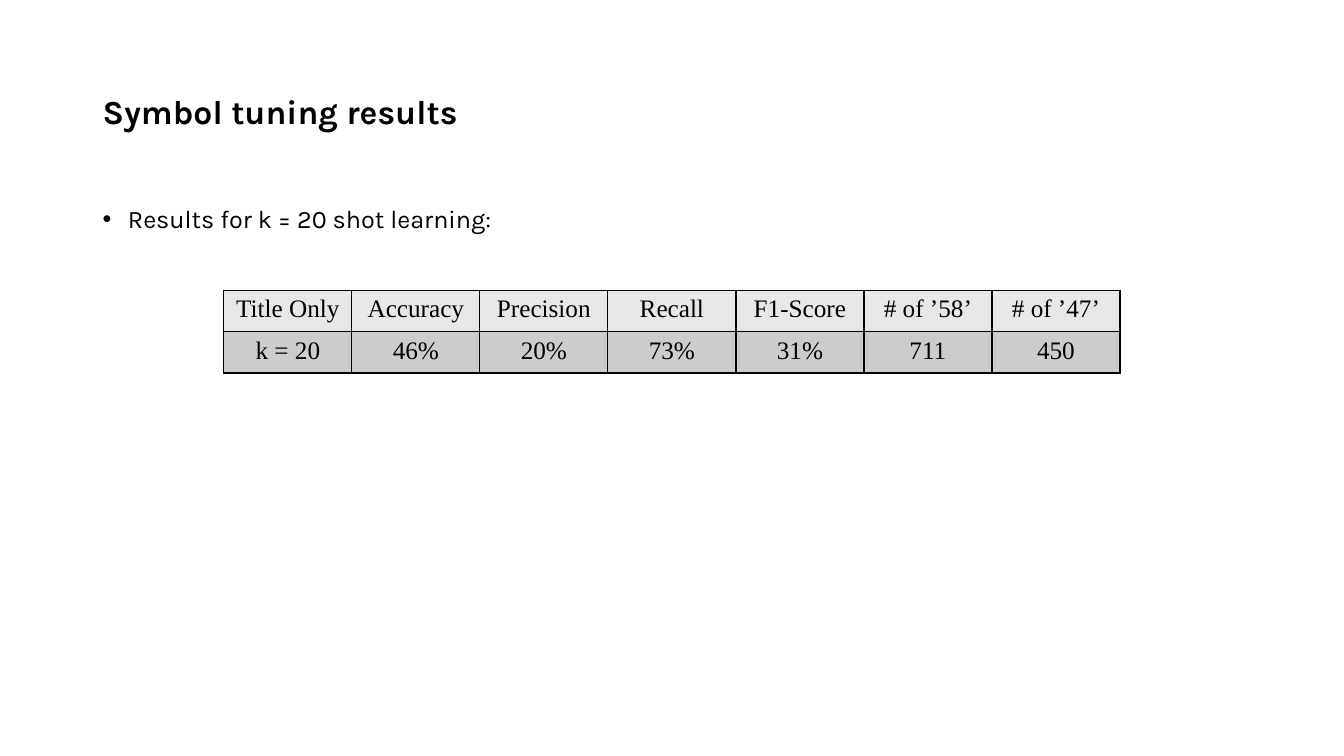
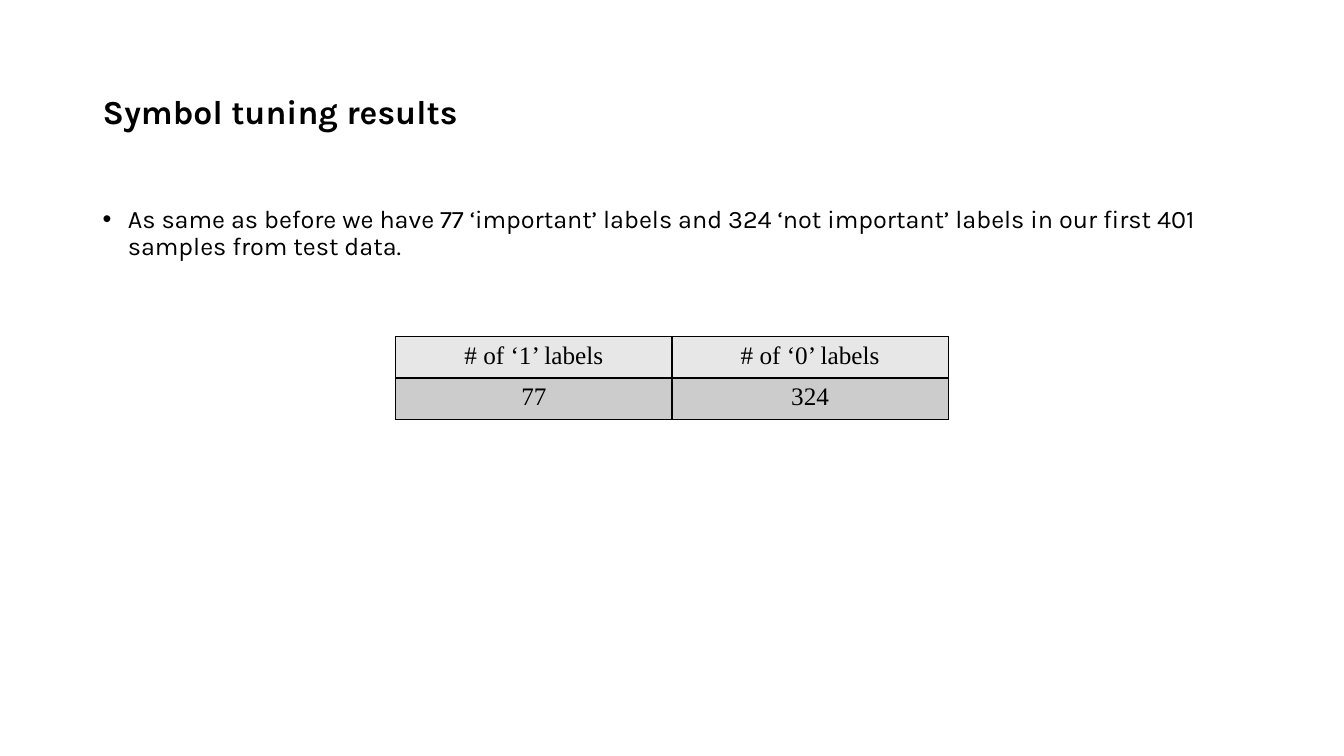
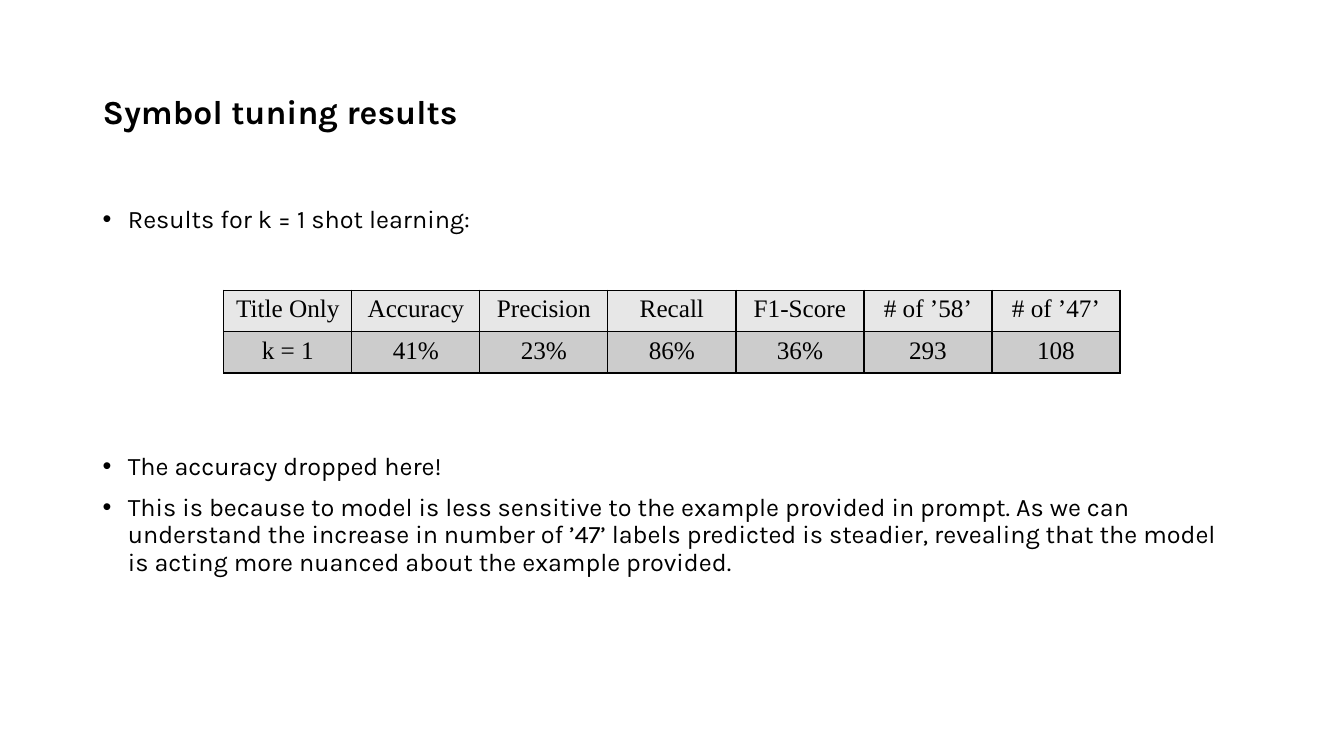
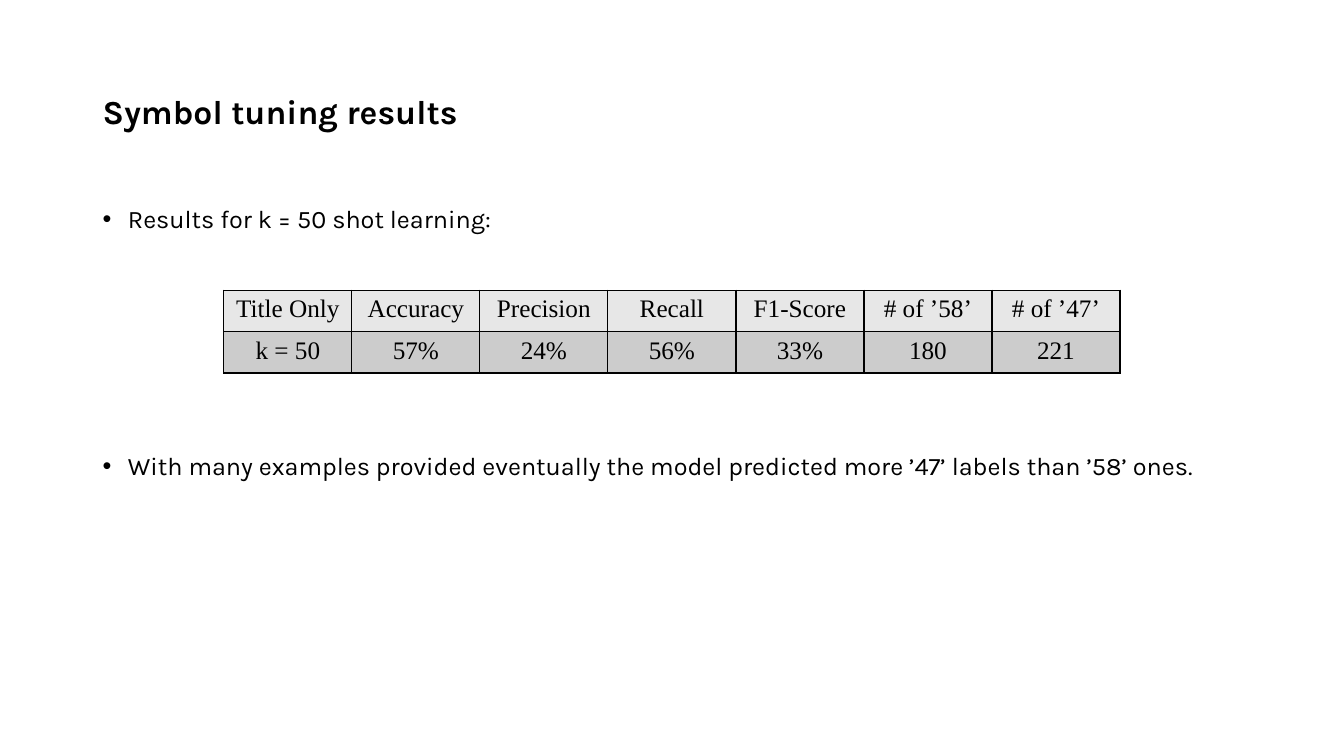
from lxml import etree
from pptx import Presentation
from pptx import util as u
from pptx.dml import color
from pptx.enum import text as t
from pptx.oxml import ns

COLOURS = {"ink": "000000", "paper": "FFFFFF", "header": "E7E7E7", "row": "CCCCCC"}
SLIDE_WIDTH, SLIDE_HEIGHT = 13.33, 7.5
TITLE = "Symbol tuning results"
SCORE_HEADER = ["Title Only", "Accuracy", "Precision", "Recall", "F1-Score", "# of ’58’", "# of ’47’"]


def rgb(name):
    return color.RGBColor.from_string(COLOURS[name])


def write(para, text, font="Karla", size=18, bold=False, align=None,
          spacing=None, before=None, bullet=False):
    if bullet:
        props = para._p.get_or_add_pPr()
        props.set("marL", str(u.Inches(0.25)))
        props.set("indent", str(u.Inches(-0.25)))
        etree.SubElement(props, ns.qn("a:buFont"), typeface="Arial")
        etree.SubElement(props, ns.qn("a:buChar"), char="•")
    para.alignment = align
    para.line_spacing = spacing
    if before is not None:
        para.space_before = u.Pt(before)
    span = para.add_run()
    span.text = text
    span.font.name = font
    span.font.size = u.Pt(size)
    span.font.bold = bold
    span.font.color.rgb = rgb("ink")


def outline(cell, points=1):
    props = cell._tc.get_or_add_tcPr()
    for index, side in enumerate(("lnL", "lnR", "lnT", "lnB")):
        line = etree.Element(ns.qn(f"a:{side}"), w=str(u.Pt(points)))
        fill = etree.SubElement(line, ns.qn("a:solidFill"))
        etree.SubElement(fill, ns.qn("a:srgbClr"), val=COLOURS["ink"])
        props.insert(index, line)


class ResultsDeck:
    left, width = 0.92, 11.5
    row_height = 0.41

    def __init__(self):
        self.deck = Presentation()
        self.deck.slide_width = u.Inches(SLIDE_WIDTH)
        self.deck.slide_height = u.Inches(SLIDE_HEIGHT)
        self.page = None

    def add_page(self):
        self.page = self.deck.slides.add_slide(self.deck.slide_layouts[6])
        background = self.page.background.fill
        background.solid()
        background.fore_color.rgb = rgb("paper")
        frame = self.frame(0.4, 1.45)
        frame.vertical_anchor = t.MSO_ANCHOR.MIDDLE
        write(frame.paragraphs[0], TITLE, size=24, bold=True, spacing=0.9)

    def frame(self, top, height):
        box = self.page.shapes.add_textbox(
            u.Inches(self.left), u.Inches(top), u.Inches(self.width), u.Inches(height))
        box.text_frame.word_wrap = True
        return box.text_frame

    def bullets(self, intro, remarks=(), table_gap=157):
        frame = self.frame(2, 4.76)
        write(frame.paragraphs[0], intro, spacing=0.9, bullet=True)
        for index, remark in enumerate(remarks):
            write(frame.add_paragraph(), remark, spacing=0.9, bullet=True,
                  before=10 if index else table_gap)

    def table(self, rows, top, column_width):
        columns = len(rows[0])
        width = columns * column_width
        table = self.page.shapes.add_table(
            len(rows), columns, u.Inches((SLIDE_WIDTH - width) / 2), u.Inches(top),
            u.Inches(width), u.Inches(len(rows) * self.row_height)).table
        table.first_row = table.horz_banding = False
        for column in table.columns:
            column.width = u.Inches(column_width)
        for row_index, values in enumerate(rows):
            table.rows[row_index].height = u.Inches(self.row_height)
            for column_index, value in enumerate(values):
                cell = table.cell(row_index, column_index)
                cell.fill.solid()
                cell.fill.fore_color.rgb = rgb("row" if row_index else "header")
                outline(cell)
                write(cell.text_frame.paragraphs[0], value,
                      font="Times New Roman", align=t.PP_ALIGN.CENTER)

    def scores(self, shots, values, remarks=()):
        self.add_page()
        self.bullets(f"Results for k = {shots} shot learning:", remarks)
        self.table([SCORE_HEADER, [f"k = {shots}", *values]], top=2.88, column_width=1.27)

    def label_counts(self, intro, rows):
        self.add_page()
        self.bullets(intro)
        self.table(rows, top=3.34, column_width=2.74)


def main():
    results = ResultsDeck()
    results.scores(20, ["46%", "20%", "73%", "31%", "711", "450"])
    results.label_counts(
        "As same as before we have 77 ‘important’ labels and 324 ‘not important’ labels "
        "in our first 401 samples from test data.",
        [["# of ‘1’ labels", "# of ‘0’ labels"], ["77", "324"]])
    results.scores(1, ["41%", "23%", "86%", "36%", "293", "108"], [
        "The accuracy dropped here!",
        "This is because to model is less sensitive to the example provided in prompt. "
        "As we can understand the increase in number of ’47’ labels predicted is steadier, "
        "revealing that the model is acting more nuanced about the example provided."])
    results.scores(50, ["57%", "24%", "56%", "33%", "180", "221"], [
        "With many examples provided eventually the model predicted more ’47’ labels than ’58’ ones."])
    results.deck.save("out.pptx")


if __name__ == "__main__":
    main()
